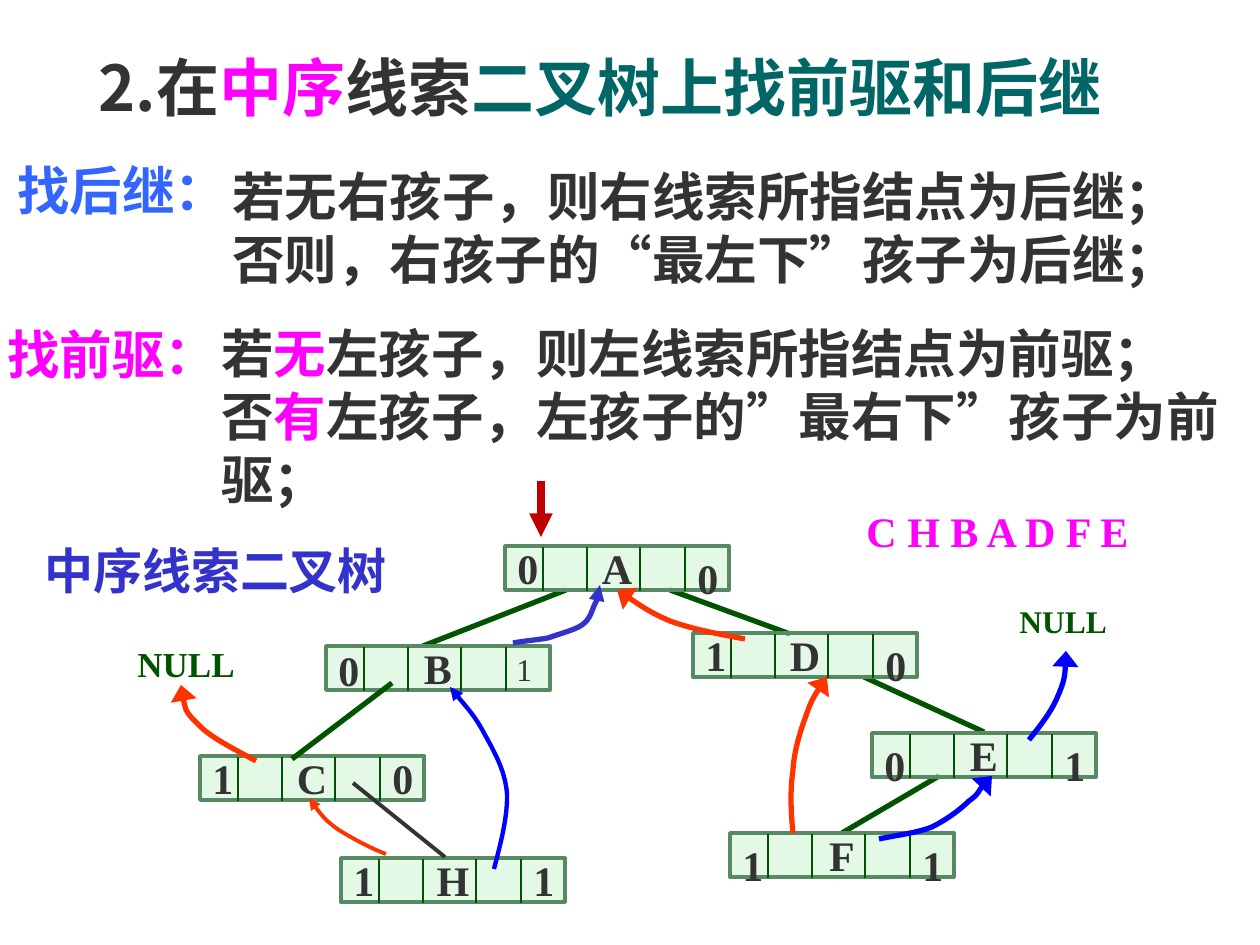
from lxml import etree
from pptx import Presentation
from pptx import util as u
from pptx.dml.color import RGBColor
from pptx.enum import shapes, text
from pptx.oxml.ns import qn

PX = 914400 / 126
LATIN, CJK = "Times New Roman", "Noto Sans CJK SC"
COLORS = {
    "ink": "333333", "pink": "FF00FF", "blue": "3366FF", "teal": "006666",
    "green": "005400", "cell": "CAF2CE", "edge": "578963", "indigo": "3333CC",
    "orange": "FF3300", "pure_blue": "0000FF", "red": "C00000",
}
NODE_WIDTH, NODE_HEIGHT, DIGIT_WIDTH = 224, 44, 45
DIVIDERS = (38, 82, 135, 180)

# name: left, top, line spacing of the left and right tag, tags
NODES = {
    "A": (505, 546, (0.8, 1), "00"),
    "B": (326, 646, (0.85, 1), "01"),
    "D": (693, 633, (0.8, 1), "10"),
    "C": (200, 756, (0.8, 0.8), "10"),
    "E": (872, 733, (1, 1), "01"),
    "F": (730, 833, (1, 1), "11"),
    "H": (341, 858, (0.8, 0.8), "11"),
}
BACK_LINKS = [(566, 590, 423, 646), (670, 590, 790, 634),
              (864, 677, 984, 732), (939, 776, 842, 833)]

# colour, line width, head width, start point followed by curve points in threes
THREADS = [
    ("orange", 3, "lg", [(256, 761), (232, 748), (208, 736), (197, 723),
                         (184, 711), (183, 698), (181, 685)]),
    ("orange", 3, "lg", [(793, 833), (791, 811), (790, 791), (793, 771), (794, 752),
                         (800, 732), (806, 716), (811, 701), (819, 688), (827, 677)]),
    ("pure_blue", 3, "lg", [(879, 839), (898, 835), (917, 833), (932, 827), (946, 820),
                            (960, 810), (969, 801), (979, 794), (988, 775), (992, 776)]),
    ("orange", 3, "lg", [(745, 639), (718, 634), (692, 629), (670, 621),
                         (649, 612), (634, 601), (617, 590)]),
    ("pure_blue", 3, "lg", [(1029, 740), (1041, 725), (1052, 711), (1058, 696),
                            (1065, 680), (1066, 667), (1066, 651)]),
    ("indigo", 3, "med", [(513, 643), (524, 641), (536, 640), (548, 638), (559, 634),
                          (575, 630), (582, 625), (591, 619), (592, 609), (596, 602),
                          (599, 596), (600, 587), (600, 585)]),
    ("pure_blue", 2.5, "med", [(494, 869), (501, 843), (508, 815), (507, 793), (505, 770),
                               (494, 751), (484, 733), (475, 716), (462, 702), (450, 687)]),
    ("orange", 2.25, "med", [(386, 854), (368, 847), (352, 838), (339, 830),
                             (326, 821), (318, 811), (309, 798)]),
]


def px(*values):
    return [u.Emu(round(value * PX)) for value in values]


def rgb(name):
    return RGBColor.from_string(COLORS[name])


def add_spans(para, spans, size, font=LATIN, bold=True):
    """Add (words, colour) runs to a paragraph."""
    for words, color in spans:
        span = para.add_run()
        span.text = words
        span.font.size, span.font.bold = u.Pt(size), bold
        span.font.name = font
        span.font.color.rgb = rgb(color)
        east_asian = etree.SubElement(span._r.get_or_add_rPr(), qn("a:ea"))
        east_asian.set("typeface", CJK)


def add_words(page, area, lines, size, font=LATIN, bold=True, spacing=None):
    box = page.shapes.add_textbox(*px(*area))
    frame = box.text_frame
    frame.word_wrap = True
    for index, spans in enumerate(lines):
        para = frame.add_paragraph() if index else frame.paragraphs[0]
        para.line_spacing = spacing
        add_spans(para, spans, size, font, bold)


def style_line(line, color, width, head=None):
    line.color.rgb, line.width = rgb(color), u.Pt(width)
    if head:
        end = etree.SubElement(line._get_or_add_ln(), qn("a:tailEnd"))
        end.set("type", "triangle")
        end.set("w", head)
        end.set("len", "med")


def add_line(page, ends, color, width, head=None):
    line = page.shapes.add_connector(shapes.MSO_CONNECTOR.STRAIGHT, *px(*ends))
    style_line(line.line, color, width, head)
    etree.SubElement(line._element.spPr, qn("a:effectLst"))


def add_thread(page, color, width, head, points):
    """Draw a curved arrow; every three points after the first make one curve."""
    builder = page.shapes.build_freeform(*points[0], scale=PX)
    builder.add_line_segments(points[1:], close=False)
    thread = builder.convert_to_shape()
    thread.shadow.inherit = False
    thread.fill.background()
    style_line(thread.line, color, width, head)
    outline = thread._element.xpath(".//a:path")[0]
    steps = list(outline)[1:]
    for first in range(0, len(steps), 3):
        curve = etree.SubElement(outline, qn("a:cubicBezTo"))
        for step in steps[first:first + 3]:
            curve.append(step[0])
            outline.remove(step)


def add_node(page, name, left, top):
    node = page.shapes.add_shape(shapes.MSO_SHAPE.RECTANGLE,
                                 *px(left, top, NODE_WIDTH, NODE_HEIGHT))
    node.shadow.inherit = False
    node.fill.solid()
    node.fill.fore_color.rgb = rgb("cell")
    tint = node._element.spPr.find(qn("a:solidFill"))[0]
    etree.SubElement(tint, qn("a:alpha")).set("val", "50000")
    style_line(node.line, "edge", 2)
    frame = node.text_frame
    frame.word_wrap = False
    frame.vertical_anchor = text.MSO_ANCHOR.MIDDLE
    frame.paragraphs[0].alignment = text.PP_ALIGN.CENTER
    add_spans(frame.paragraphs[0], [(name, "ink")], 24)
    for offset in DIVIDERS:
        x = left + offset
        add_line(page, (x, top + 1, x, top + 45), "green", 1)


def add_tags(page, name, left, top, spacings, tags):
    for offset, spacing, tag in zip((0, DIVIDERS[-1]), spacings, tags):
        light = name == "B" and offset > 0
        shift = 2 if light else 0
        add_words(page, (left + offset - shift, top - shift, DIGIT_WIDTH, 53),
                  [[(tag, "ink")]], 18 if light else 24, bold=not light, spacing=spacing)


def add_title(page, area):
    title = page.shapes.title
    title.left, title.top, title.width, title.height = px(*area)
    frame = title.text_frame
    frame.auto_size = text.MSO_AUTO_SIZE.NONE
    frame.vertical_anchor = text.MSO_ANCHOR.MIDDLE
    frame.paragraphs[0].alignment = text.PP_ALIGN.LEFT
    add_spans(frame.paragraphs[0],
              [("2.在", "ink"), ("中序", "pink"), ("线索", "ink"),
               ("二叉树上找前驱和后继", "teal")], 36, CJK)


def add_rules(page):
    add_words(page, (220, 158, 1034, 139),
              [[("若无右孩子，则右线索所指结点为后继；", "ink")],
               [("否则，右孩子的“最左下”孩子为后继；", "ink")]], 30)
    add_words(page, (209, 315, 1045, 201),
              [[("若", "ink"), ("无", "pink"), ("左孩子，则左线索所指结点为前驱；", "ink")],
               [("否", "ink"), ("有", "pink"),
                ("左孩子，左孩子的”最右下”孩子为前驱；", "ink")]], 30)
    add_words(page, (5, 152, 270, 76), [[("找后继：", "blue")]], 30, CJK)
    add_words(page, (-5, 316, 280, 76), [[("找前驱：", "pink")]], 30, CJK)


def add_tree(page):
    for ends in BACK_LINKS:
        add_line(page, ends, "green", 3)
    for name, (left, top, _, _) in NODES.items():
        add_node(page, name, left, top)
    for name, details in NODES.items():
        add_tags(page, name, *details)
    add_line(page, (392, 683, 292, 759), "green", 3)
    add_line(page, (353, 783, 445, 857), "ink", 2.25)
    for thread in THREADS:
        add_thread(page, *thread)
    add_words(page, (1007, 596, 127, 50), [[("NULL", "green")]], 18)
    add_words(page, (125, 636, 127, 55), [[("NULL", "green")]], 20)
    add_words(page, (32, 534, 431, 72), [[("中序线索二叉树", "indigo")]], 28)
    add_words(page, (854, 499, 358, 64), [[("C H B A D F E", "pink")]], 24)
    add_line(page, (541, 481, 541, 537), "red", 4.5, "med")


def main():
    deck = Presentation()
    deck.slide_width, deck.slide_height = px(1260, 945)
    page = deck.slides.add_slide(deck.slide_layouts[5])
    add_title(page, (86, 25, 1109, 122))
    add_rules(page)
    add_tree(page)
    deck.save("out.pptx")


if __name__ == "__main__":
    main()
